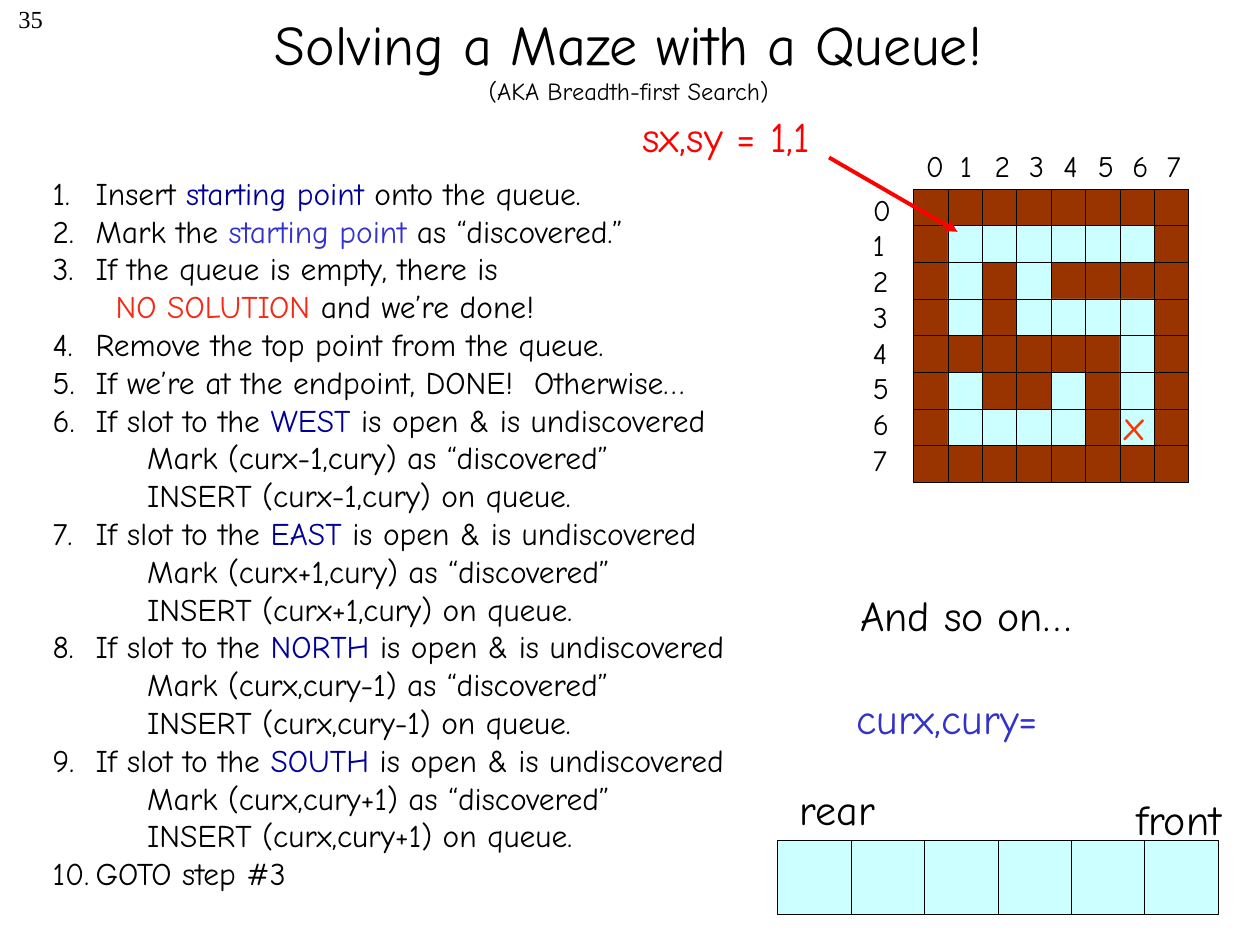
import pptx
import pptx.dml.color
import pptx.enum.shapes
import pptx.enum.text
import pptx.oxml
import pptx.oxml.ns
import pptx.util

ALIGN = pptx.enum.text.PP_ALIGN
AUTO_SIZE = pptx.enum.text.MSO_AUTO_SIZE
Inches = pptx.util.Inches

SLIDE_WIDTH, SLIDE_HEIGHT = 10, 7.5
FONT = "Comic Neue"
COLORS = {
    "black": "000000", "navy": "000099", "blue": "3333CC", "red": "FF0000",
    "scarlet": "F32A15", "orange": "FF3300", "wall": "993300", "open": "CCFFFF",
}

# A line is a string or a list of runs; a run is a string or (string, color).
DIRECTIONS = [
    ("WEST", "curx-1,cury"),
    ("EAST", "curx+1,cury"),
    ("NORTH", "curx,cury-1"),
    ("SOUTH", "curx,cury+1"),
]
STEP, CONTINUED, ACTION = (0.34, -0.34), (0.5, 0), (0.75, 0)  # margin, first line
OPENING = [
    (STEP, ["1.\tInsert ", ("starting point", "navy"), " onto the queue."]),
    (STEP, ["2.\tMark the ", ("starting point ", "blue"), "as “discovered.”"]),
    (STEP, "3.\tIf the queue is empty, there is"),
    (CONTINUED, [("NO SOLUTION", "scarlet"), " and we’re done!"]),
    (STEP, "4.\tRemove the top point from the queue."),
    (STEP, "5.\tIf we’re at the endpoint, DONE!  Otherwise…"),
]
CLOSING = [(STEP, "10.\tGOTO step #3")]

MAZE = [
    "########",
    "#......#",
    "#.#.####",
    "#.#....#",
    "######.#",
    "#.##.#.#",
    "#....#.#",
    "########",
]
MAZE_LEFT, MAZE_TOP = 7.25, 1.5
CELL_WIDTH, CELL_HEIGHT = 0.273, 0.291
QUEUE_LEFT, QUEUE_TOP = 6.17, 6.67
QUEUE_SLOTS, SLOT_SIZE = 6, 0.583

# text, left, top, width, height, color
LABELS = [
    ("front", 8.92, 6.25, 1.14, 0.5, "black"),
    ("rear", 6.25, 6.17, 0.87, 0.5, "black"),
    ("And so on…", 6.73, 4.63, 1.93, 0.5, "black"),
    ("curx,cury=", 6.7, 5.45, 1.84, 0.5, "blue"),
]


def rgb(color):
    return pptx.dml.color.RGBColor.from_string(COLORS[color])


def add_text(shapes, lines, left, top, width, height, *, sizes=(24,), color="black",
             font=FONT, align=ALIGN.LEFT, indents=None, wrap=False, grow=True,
             middle=False, tab_step=None):
    """Write one paragraph per line; the last size and indent serve further lines."""
    box = shapes.add_textbox(*map(Inches, (left, top, width, height)))
    frame = box.text_frame
    frame.word_wrap = wrap
    frame.auto_size = AUTO_SIZE.SHAPE_TO_FIT_TEXT if grow else AUTO_SIZE.NONE
    if middle:
        frame.vertical_anchor = pptx.enum.text.MSO_ANCHOR.MIDDLE
    for index, line in enumerate(lines):
        paragraph = frame.paragraphs[0] if index == 0 else frame.add_paragraph()
        paragraph.alignment = align
        properties = paragraph._p.get_or_add_pPr()
        if indents:
            margin, first = indents[index]
            properties.set("marL", str(Inches(margin)))
            properties.set("indent", str(Inches(first)))
        if tab_step:
            tabs = pptx.oxml.ns.qn("a:tabLst")
            tab_list = properties.makeelement(tabs, {})
            properties.append(tab_list)
            for column in range(1, line.count("\t") + 1):
                tab_list.append(tab_list.makeelement(pptx.oxml.ns.qn("a:tab"), {
                    "pos": str(Inches(column * tab_step)), "algn": "l"}))
        for part in [line] if isinstance(line, str) else line:
            text, run_color = (part, color) if isinstance(part, str) else part
            run = paragraph.add_run()
            run.text = text
            run.font.name = font
            run.font.size = pptx.util.Pt(sizes[min(index, len(sizes) - 1)])
            run.font.color.rgb = rgb(run_color)
    return box


def add_cell(shapes, left, top, width, height, color):
    cell = shapes.add_shape(pptx.enum.shapes.MSO_SHAPE.RECTANGLE,
                            *map(Inches, (left, top, width, height)))
    cell.shadow.inherit = False
    cell.fill.solid()
    cell.fill.fore_color.rgb = rgb(color)
    cell.line.color.rgb = rgb("black")
    cell.line.width = pptx.util.Pt(0.25)


def add_arrow(shapes, start, end, color):
    arrow = shapes.add_connector(pptx.enum.shapes.MSO_CONNECTOR.STRAIGHT,
                                 *map(Inches, start + end))
    arrow.line.color.rgb = rgb(color)
    arrow.line.width = pptx.util.Pt(2.25)
    line = arrow.line._get_or_add_ln()
    line.append(line.makeelement(pptx.oxml.ns.qn("a:tailEnd"), {"type": "triangle"}))
    properties = arrow._element.spPr
    properties.append(properties.makeelement(pptx.oxml.ns.qn("a:effectLst"), {}))


def algorithm_steps():
    steps = list(OPENING)
    for number, (direction, point) in enumerate(DIRECTIONS, start=6):
        steps += [
            (STEP, [f"{number}.\tIf slot to the ", (direction, "navy"),
                    " is open & is undiscovered"]),
            (ACTION, f"Mark ({point}) as “discovered”"),
            (ACTION, f"INSERT ({point}) on queue."),
        ]
    return steps + CLOSING


def add_maze(shapes):
    for row, squares in enumerate(MAZE):
        for column, square in enumerate(squares):
            add_cell(shapes, MAZE_LEFT + column * CELL_WIDTH, MAZE_TOP + row * CELL_HEIGHT,
                     CELL_WIDTH, CELL_HEIGHT, "wall" if square == "#" else "open")
    digits = [str(index) for index in range(len(MAZE))]
    add_text(shapes, digits, 6.83, 1.47, 0.35, 2.36, sizes=(17,))
    add_text(shapes, ["\t".join(digits)], MAZE_LEFT, 1.12, 2.24, 0.38,
             sizes=(17,), tab_step=CELL_WIDTH)
    add_text(shapes, ["x"], 8.83, 3.11, 0.4, 0.5, color="orange")


def main():
    presentation = pptx.Presentation()
    presentation.slide_width = Inches(SLIDE_WIDTH)
    presentation.slide_height = Inches(SLIDE_HEIGHT)
    slide = presentation.slides.add_slide(presentation.slide_layouts[6])
    shapes = slide.shapes

    add_text(shapes, ["35"], 0, -0.02, 0.44, 0.5, sizes=(14,),
             font="Times New Roman", align=ALIGN.RIGHT, wrap=True, grow=False)
    add_text(shapes, ["Solving a Maze with a Queue!", "(AKA Breadth-first Search)"],
             0.74, -0.17, 8.5, 1.25, sizes=(32, 14), align=ALIGN.CENTER,
             wrap=True, grow=False, middle=True)
    indents, lines = zip(*algorithm_steps())
    add_text(shapes, lines, 0.32, 1.33, 6.77, 5.81, sizes=(18,), indents=indents, wrap=True)

    add_maze(shapes)
    start_group = shapes.add_group_shape().shapes
    add_text(start_group, ["sx,sy = 1,1"], 5, 0.83, 1.74, 0.5, color="red")
    add_arrow(start_group, (6.58, 1.25), (7.6, 1.84), "red")

    queue_group = shapes.add_group_shape().shapes
    for slot in range(QUEUE_SLOTS):
        add_cell(queue_group, QUEUE_LEFT + slot * SLOT_SIZE, QUEUE_TOP,
                 SLOT_SIZE, SLOT_SIZE, "open")
    for text, left, top, width, height, color in LABELS:
        add_text(shapes, [text], left, top, width, height, color=color)

    presentation.save("out.pptx")


if __name__ == "__main__":
    main()
